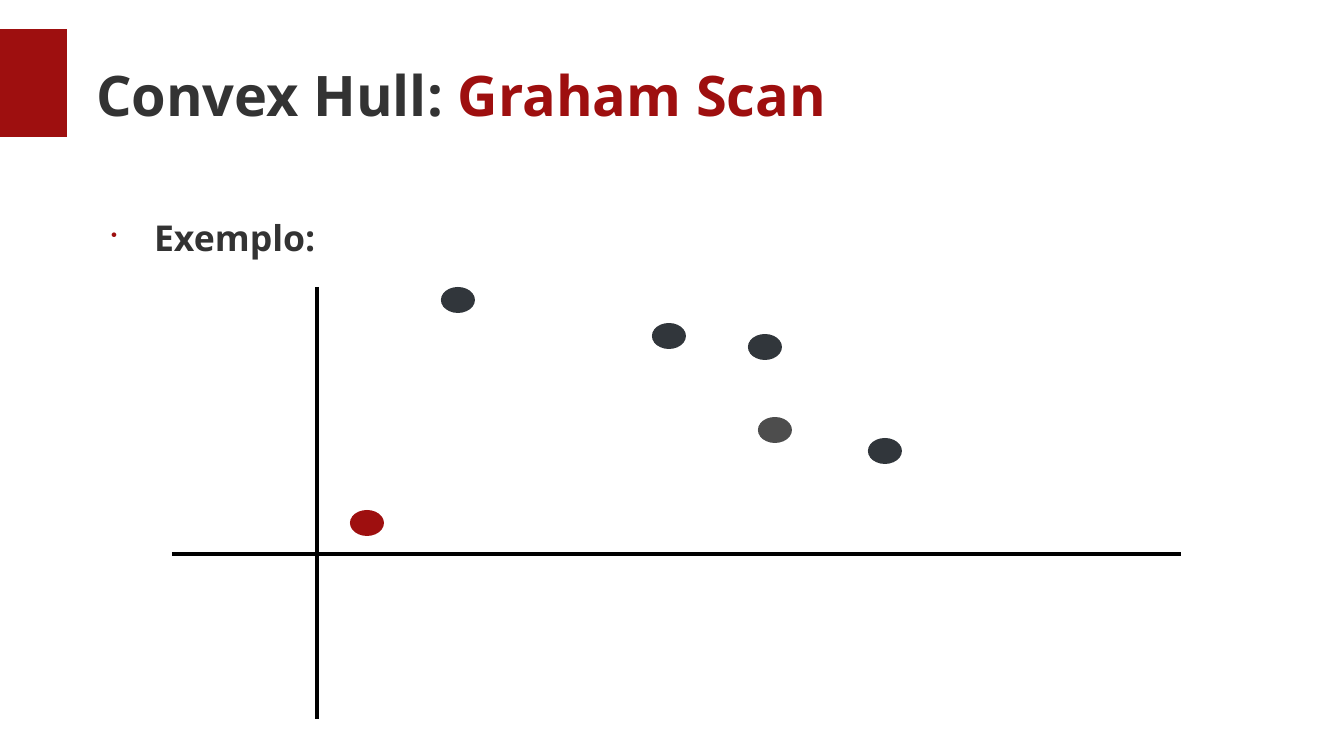
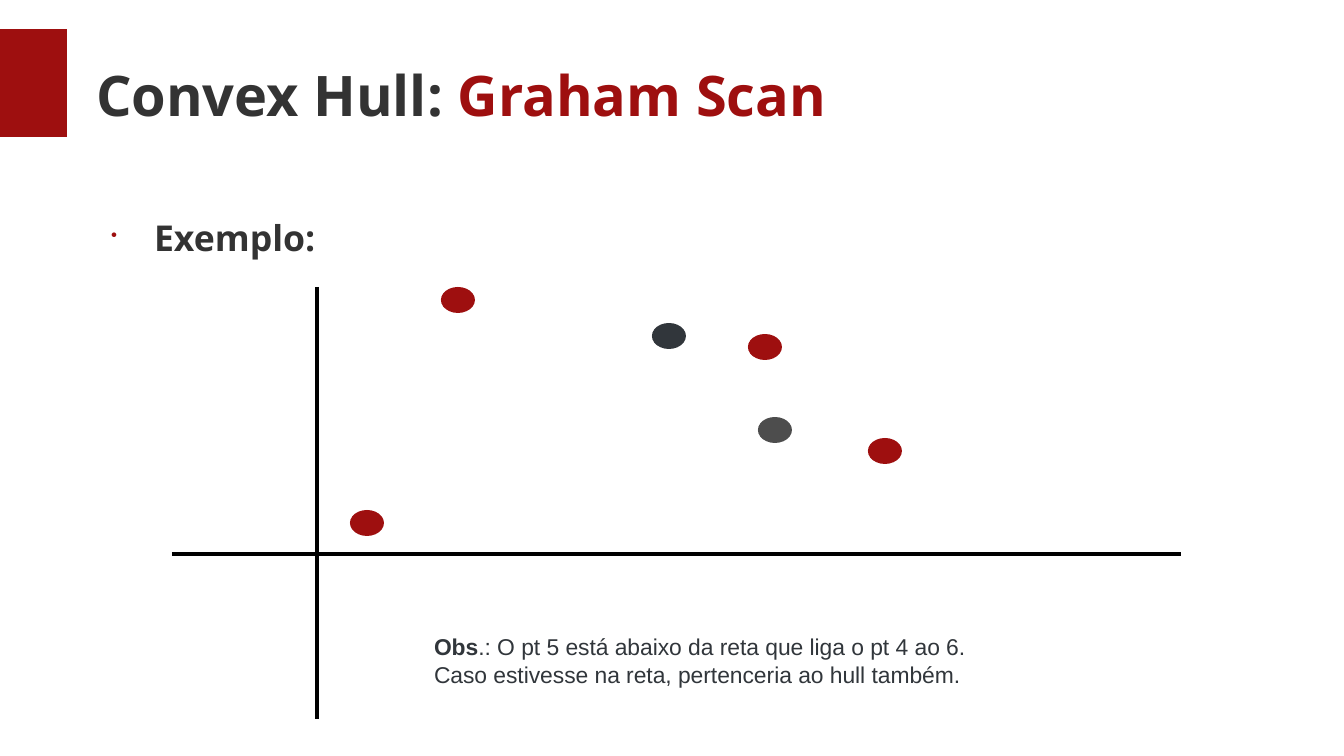
import lxml.etree
import pptx
import pptx.dml.color
import pptx.enum.shapes
import pptx.enum.text
import pptx.oxml.ns
import pptx.util

RGB = pptx.dml.color.RGBColor
WHITE = RGB(0xFF, 0xFF, 0xFF)
BLACK = RGB(0x00, 0x00, 0x00)
RED = RGB(0x9E, 0x0F, 0x0F)
INK = RGB(0x33, 0x33, 0x33)
SLATE = RGB(0x31, 0x36, 0x3B)
GRAY = RGB(0x4D, 0x4D, 0x4D)

HEADING_FONT = "Open Sans"
NOTE_FONT = "Arial"
SHAPE = pptx.enum.shapes.MSO_SHAPE
TITLE_ONLY = 5

POINT_CENTERS = [(458, 300), (669, 336), (765, 347), (367, 523), (885, 451), (775, 430)]
POINT_WIDTH, POINT_HEIGHT = 34, 26
AXES = [(317, 287, 317, 719), (172, 554, 1181, 554)]


def px(length):
    return pptx.util.Emu(round(length * 914400 / 122))


def place(item, left, top, width, height):
    item.left, item.top, item.width, item.height = map(px, (left, top, width, height))


def add_run(paragraph, text, font, size, color, bold=False):
    run = paragraph.add_run()
    run.text = text
    run.font.name = font
    run.font.size = pptx.util.Pt(size)
    run.font.bold = bold
    run.font.color.rgb = color


def set_frame(frame, margin_x=0, margin_y=0, anchor=pptx.enum.text.MSO_ANCHOR.TOP):
    frame.word_wrap = True
    frame.auto_size = pptx.enum.text.MSO_AUTO_SIZE.NONE
    frame.margin_left = frame.margin_right = px(margin_x)
    frame.margin_top = frame.margin_bottom = px(margin_y)
    frame.vertical_anchor = anchor


def add_filled(slide, kind, left, top, width, height, color):
    shape = slide.shapes.add_shape(kind, *map(px, (left, top, width, height)))
    shape.shadow.inherit = False
    shape.fill.solid()
    shape.fill.fore_color.rgb = color
    shape.line.fill.background()
    return shape


def add_bullet(paragraph, color):
    """Give the paragraph a hanging, half-size round bullet."""
    properties = paragraph._p.get_or_add_pPr()
    properties.set("marL", str(px(58)))
    properties.set("indent", str(px(-43)))
    tag = pptx.oxml.ns.qn
    bullet_color = lxml.etree.SubElement(properties, tag("a:buClr"))
    lxml.etree.SubElement(bullet_color, tag("a:srgbClr"), val=str(color))
    lxml.etree.SubElement(properties, tag("a:buSzPct"), val="50000")
    lxml.etree.SubElement(properties, tag("a:buChar"), char="•")


def add_title(slide):
    title = slide.shapes.title
    place(title, 96, 31, 1181, 127)
    set_frame(title.text_frame, anchor=pptx.enum.text.MSO_ANCHOR.MIDDLE)
    paragraph = title.text_frame.paragraphs[0]
    paragraph.alignment = pptx.enum.text.PP_ALIGN.LEFT
    add_run(paragraph, "Convex Hull: ", HEADING_FONT, 33, INK, bold=True)
    add_run(paragraph, "Graham Scan", HEADING_FONT, 33, RED, bold=True)


def add_example_heading(slide):
    heading = slide.shapes.add_textbox(*map(px, (96, 216, 1153, 60)))
    set_frame(heading.text_frame)
    paragraph = heading.text_frame.paragraphs[0]
    add_bullet(paragraph, RED)
    add_run(paragraph, "Exemplo:", HEADING_FONT, 21, INK, bold=True)


def add_axis(slide, x1, y1, x2, y2):
    axis = slide.shapes.add_connector(
        pptx.enum.shapes.MSO_CONNECTOR.STRAIGHT, *map(px, (x1, y1, x2, y2)))
    axis.line.color.rgb = BLACK
    axis.line.width = 0
    lxml.etree.SubElement(axis._element.spPr, pptx.oxml.ns.qn("a:effectLst"))


def add_plot(slide, colors):
    for (x, y), color in zip(POINT_CENTERS, colors):
        add_filled(slide, SHAPE.OVAL, x - POINT_WIDTH // 2, y - POINT_HEIGHT // 2,
                   POINT_WIDTH, POINT_HEIGHT, color)
    for ends in AXES:
        add_axis(slide, *ends)


def add_observation(slide):
    observation = slide.shapes.add_textbox(*map(px, (422, 627, 736, 64)))
    frame = observation.text_frame
    set_frame(frame, margin_x=12, margin_y=6)
    add_run(frame.paragraphs[0], "Obs", NOTE_FONT, 13.5, SLATE, bold=True)
    add_run(frame.paragraphs[0], ".: O pt 5 está abaixo da reta que liga o pt 4 ao 6.",
            NOTE_FONT, 13.5, SLATE)
    add_run(frame.add_paragraph(), "Caso estivesse na reta, pertenceria ao hull também.",
            NOTE_FONT, 13.5, SLATE)


def add_example_slide(deck, point_colors):
    slide = deck.slides.add_slide(deck.slide_layouts[TITLE_ONLY])
    add_title(slide)
    add_example_heading(slide)
    add_plot(slide, point_colors)
    return slide


def add_layout_band(slide):
    """Draw the red band and move it to the layout that the slides share."""
    band = add_filled(slide, SHAPE.RECTANGLE, 0, 29, 67, 108, RED)
    slide.slide_layout.shapes.element.append(band.element)


def main():
    deck = pptx.Presentation()
    deck.slide_width, deck.slide_height = px(1344), px(756)
    background = deck.slide_master.background.fill
    background.solid()
    background.fore_color.rgb = WHITE

    start = add_example_slide(deck, [SLATE, SLATE, SLATE, RED, SLATE, GRAY])
    add_layout_band(start)
    hull = add_example_slide(deck, [RED, SLATE, RED, RED, RED, GRAY])
    add_observation(hull)
    deck.save("out.pptx")


if __name__ == "__main__":
    main()
